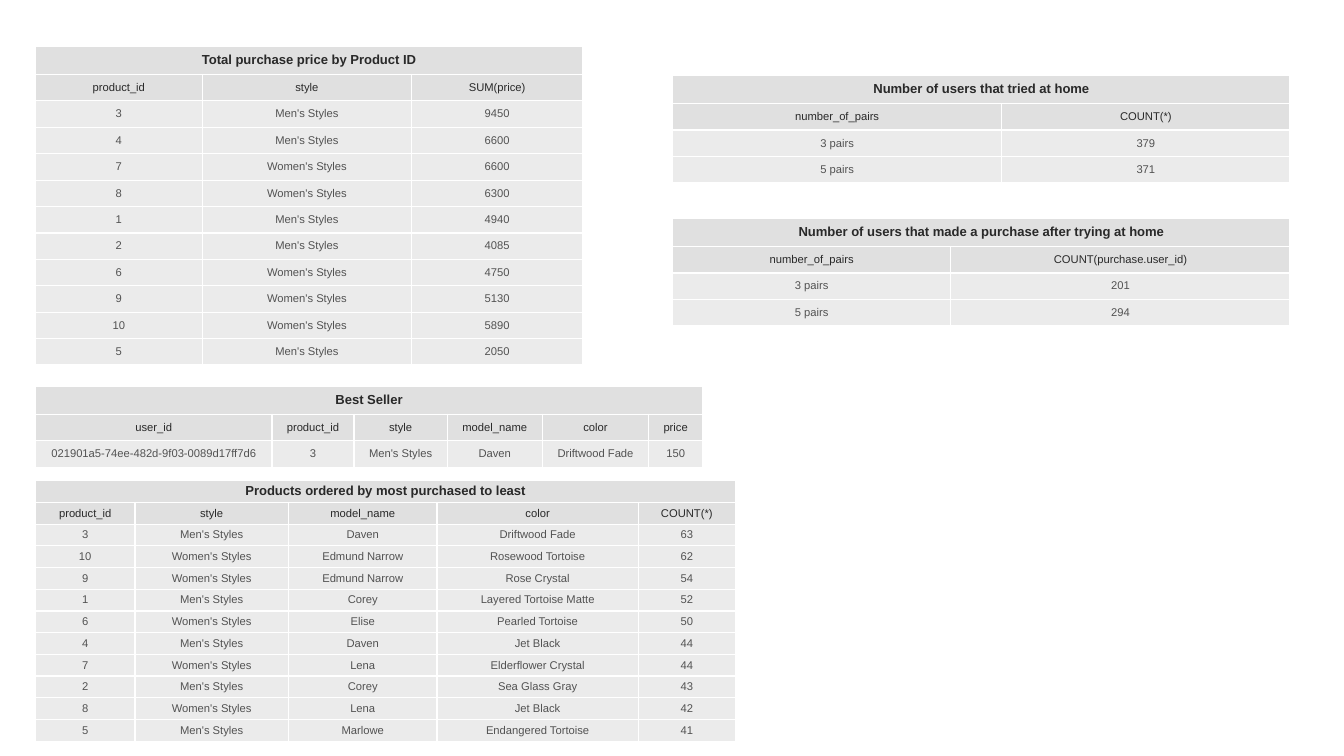
from dataclasses import dataclass

from lxml import etree
from pptx import Presentation
from pptx.dml.color import RGBColor
from pptx.enum.text import MSO_ANCHOR, PP_ALIGN
from pptx.oxml.ns import qn
from pptx.util import Cm, Pt

MIDDLE = MSO_ANCHOR.MIDDLE
CENTER = PP_ALIGN.CENTER
BLANK = 6


@dataclass(frozen=True)
class Theme:
    font: str = "Arial"
    big: float = 7
    small: float = 6
    dark: str = "292929"
    gray: str = "525252"
    head: str = "E0E0E0"
    body: str = "EBEBEB"
    rule: str = "FFFFFF"
    line: float = 0.75


@dataclass(frozen=True)
class Fit:
    """Row heights and cell margins, in cm."""
    top: float
    row: float
    side: float
    edge: float


ROOMY = Fit(top=0.52, row=0.49, side=0.25, edge=0.13)
DENSE = Fit(top=0.42, row=0.41, side=0.18, edge=0.07)


class Deck:
    def __init__(self, theme):
        self.theme = theme
        self.prs = Presentation()
        self.prs.slide_width = Cm(25.4)
        self.prs.slide_height = Cm(14.28)
        self.slide = self.prs.slides.add_slide(self.prs.slide_layouts[BLANK])

    def table(self, left, top, widths, title, rows, fit=ROOMY):
        """Add a table: a merged title row, a header row, then data."""
        count = len(widths)
        grid = [[title] + [""] * (count - 1)] + rows
        tall = fit.top + fit.row * len(rows)
        frame = self.slide.shapes.add_table(
            len(grid), count, Cm(left), Cm(top), Cm(sum(widths)), Cm(tall))
        table = frame.table
        table.first_row = table.horz_banding = False
        for col, width in zip(table.columns, widths):
            col.width = Cm(width)
        for i, texts in enumerate(grid):
            table.rows[i].height = Cm(fit.row if i else fit.top)
            for j, text in enumerate(texts):
                self.cell(table.cell(i, j), text, i, fit)
        table.cell(0, 0).merge(table.cell(0, count - 1))

    def cell(self, cell, text, level, fit):
        """Style one cell; level 0 is the title, 1 the header."""
        look = self.theme
        cell.vertical_anchor = MIDDLE
        cell.margin_left = cell.margin_right = Cm(fit.side)
        cell.margin_top = cell.margin_bottom = Cm(fit.edge)
        cell.fill.solid()
        cell.fill.fore_color.rgb = RGBColor.from_string(
            look.head if level < 2 else look.body)
        self.border(cell)
        para = cell.text_frame.paragraphs[0]
        para.alignment = CENTER
        para.font.size = Pt(look.small if level else look.big)
        if text:
            run = para.add_run()
            run.text = text
            font = run.font
            font.name = look.font
            font.size = Pt(look.small if level else look.big)
            font.bold = level == 0
            font.color.rgb = RGBColor.from_string(
                look.dark if level < 2 else look.gray)

    def border(self, cell):
        """Rule all four sides; the lines must come before the fill."""
        props = cell._tc.get_or_add_tcPr()
        for i, side in enumerate(("a:lnL", "a:lnR", "a:lnT", "a:lnB")):
            line = etree.Element(qn(side), w=str(Pt(self.theme.line)))
            fill = etree.SubElement(line, qn("a:solidFill"))
            etree.SubElement(fill, qn("a:srgbClr"), val=self.theme.rule)
            props.insert(i, line)

    def save(self):
        self.prs.save("out.pptx")


MEN, WOMEN = "Men's Styles", "Women's Styles"

# Query results, header row first
SALES = [
    ["product_id", "style", "SUM(price)"],
    ["3", MEN, "9450"],
    ["4", MEN, "6600"],
    ["7", WOMEN, "6600"],
    ["8", WOMEN, "6300"],
    ["1", MEN, "4940"],
    ["2", MEN, "4085"],
    ["6", WOMEN, "4750"],
    ["9", WOMEN, "5130"],
    ["10", WOMEN, "5890"],
    ["5", MEN, "2050"],
]
BEST = [
    ["user_id", "product_id", "style", "model_name", "color", "price"],
    ["021901a5-74ee-482d-9f03-0089d17ff7d6", "3", MEN, "Daven",
     "Driftwood Fade", "150"],
]
TRIED = [
    ["number_of_pairs", "COUNT(*)"],
    ["3 pairs", "379"],
    ["5 pairs", "371"],
]
BOUGHT = [
    ["number_of_pairs", "COUNT(purchase.user_id)"],
    ["3 pairs", "201"],
    ["5 pairs", "294"],
]
RANKED = [
    ["product_id", "style", "model_name", "color", "COUNT(*)"],
    ["3", MEN, "Daven", "Driftwood Fade", "63"],
    ["10", WOMEN, "Edmund Narrow", "Rosewood Tortoise", "62"],
    ["9", WOMEN, "Edmund Narrow", "Rose Crystal", "54"],
    ["1", MEN, "Corey", "Layered Tortoise Matte", "52"],
    ["6", WOMEN, "Elise", "Pearled Tortoise", "50"],
    ["4", MEN, "Daven", "Jet Black", "44"],
    ["7", WOMEN, "Lena", "Elderflower Crystal", "44"],
    ["2", MEN, "Corey", "Sea Glass Gray", "43"],
    ["8", WOMEN, "Lena", "Jet Black", "42"],
    ["5", MEN, "Marlowe", "Endangered Tortoise", "41"],
]


def main():
    deck = Deck(Theme())
    left, right = 0.67, 12.71

    # Left column
    deck.table(left, 0.87, [3.15, 3.96, 3.23],
               "Total purchase price by Product ID", SALES)
    deck.table(left, 7.29, [4.47, 1.55, 1.76, 1.8, 2.01, 1.02],
               "Best Seller", BEST)

    # Right column
    deck.table(right, 1.42, [6.22, 5.45],
               "Number of users that tried at home", TRIED)
    deck.table(right, 4.12, [5.26, 6.41],
               "Number of users that made a purchase after trying at home",
               BOUGHT)

    # Ranking at the bottom
    deck.table(left, 9.07, [1.88, 2.9, 2.81, 3.8, 1.84],
               "Products ordered by most purchased to least", RANKED, DENSE)
    deck.save()


if __name__ == "__main__":
    main()
